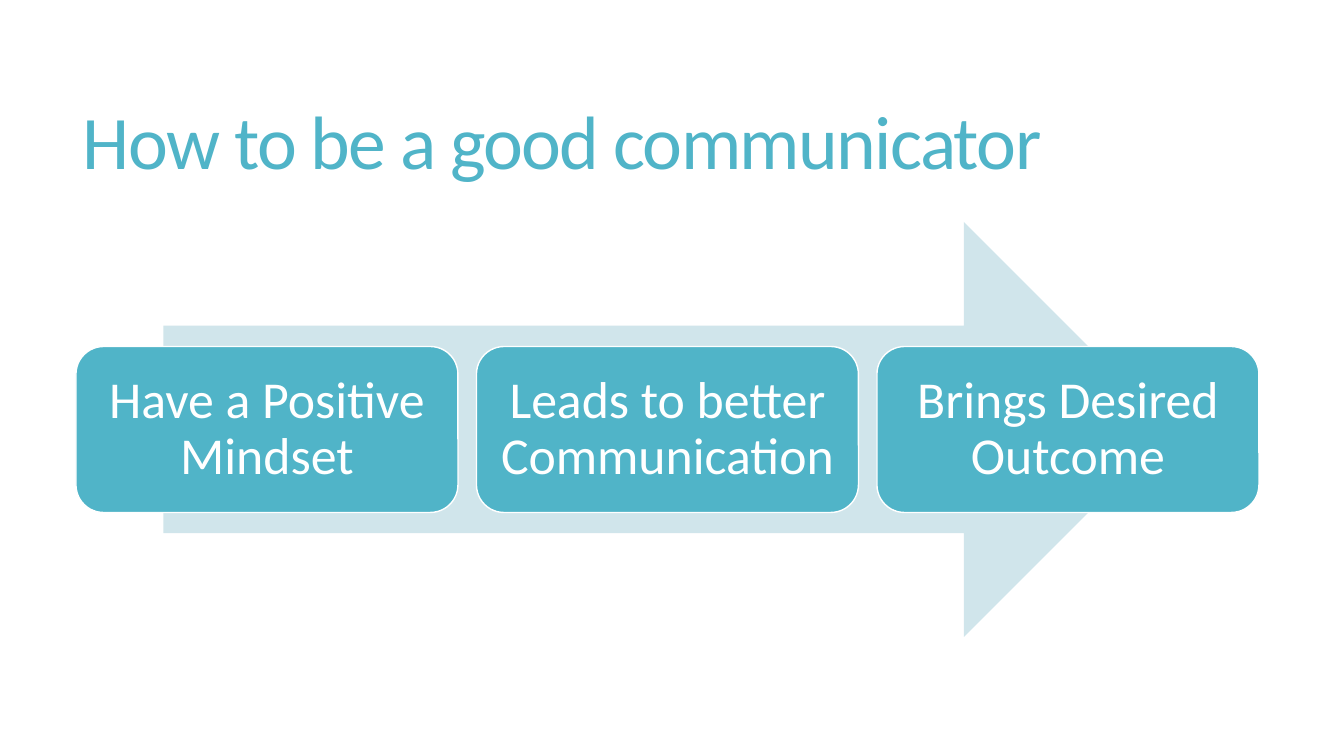
from pptx import Presentation
from pptx.dml.color import RGBColor
from pptx.enum.shapes import MSO_SHAPE as Shape
from pptx.enum.text import MSO_ANCHOR as Anchor, PP_ALIGN as Align
from pptx.util import Emu, Pt

EMU_PER_PX = 914400 / 100.8
TEAL = RGBColor(0x50, 0xB4, 0xC8)
PALE_TEAL = RGBColor(0xD0, 0xE5, 0xEB)
WHITE = RGBColor(0xFF, 0xFF, 0xFF)
FONT = "Calibri"
STEPS = ["Have a Positive Mindset", "Leads to better Communication", "Brings Desired Outcome"]


def px(length):
    """Turn pixels into EMU."""
    return Emu(round(length * EMU_PER_PX))


def write_text(shape, text, *, size, color, align=Align.LEFT, line_spacing=1.0,
               margins=(10, 5), tracking=None):
    """Write one vertically centred paragraph into a shape."""
    frame = shape.text_frame
    frame.word_wrap = True
    frame.vertical_anchor = Anchor.MIDDLE
    frame.margin_left = frame.margin_right = px(margins[0])
    frame.margin_top = frame.margin_bottom = px(margins[1])
    paragraph = frame.paragraphs[0]
    paragraph.alignment = align
    paragraph.line_spacing = line_spacing
    run = paragraph.add_run()
    run.text = text
    run.font.name = FONT
    run.font.size = Pt(size)
    run.font.color.rgb = color
    if tracking is not None:
        run.font._element.set("spc", str(tracking))


def add_block(slide, kind, left, top, width, height, fill, line=None):
    """Add a flat filled shape with an optional outline."""
    shape = slide.shapes.add_shape(kind, px(left), px(top), px(width), px(height))
    shape.shadow.inherit = False
    shape.fill.solid()
    shape.fill.fore_color.rgb = fill
    if line is None:
        shape.line.fill.background()
    else:
        shape.line.color.rgb = line
        shape.line.width = Pt(1)
    return shape


def add_title(slide, left, top, width, height):
    """Place the slide heading."""
    box = slide.shapes.add_textbox(px(left), px(top), px(width), px(height))
    write_text(box, "How to be a good communicator", size=54, color=TEAL,
               line_spacing=0.85, tracking=-120)


def add_process(slide, left, top, width, height):
    """Place the arrow and its evenly spaced step cards."""
    arrow_width = 1008
    add_block(slide, Shape.RIGHT_ARROW, left + (width - arrow_width) / 2, top,
              arrow_width, height, PALE_TEAL)
    card_width, card_height = 382, 166
    pitch = (width - card_width) / (len(STEPS) - 1)
    card_top = top + (height - card_height) / 2
    for index, step in enumerate(STEPS):
        card = add_block(slide, Shape.ROUNDED_RECTANGLE, left + index * pitch, card_top,
                         card_width, card_height, TEAL, WHITE)
        write_text(card, step, size=37, color=WHITE, align=Align.CENTER,
                   line_spacing=0.9, margins=(15, 15))


def main():
    """Build and save the presentation."""
    presentation = Presentation()
    presentation.slide_width = px(1344)
    presentation.slide_height = px(756)
    slide = presentation.slides.add_slide(presentation.slide_layouts[6])
    add_title(slide, 73, 55, 1187, 182)
    add_process(slide, 76, 222, 1183, 415)
    presentation.save("out.pptx")


if __name__ == "__main__":
    main()
